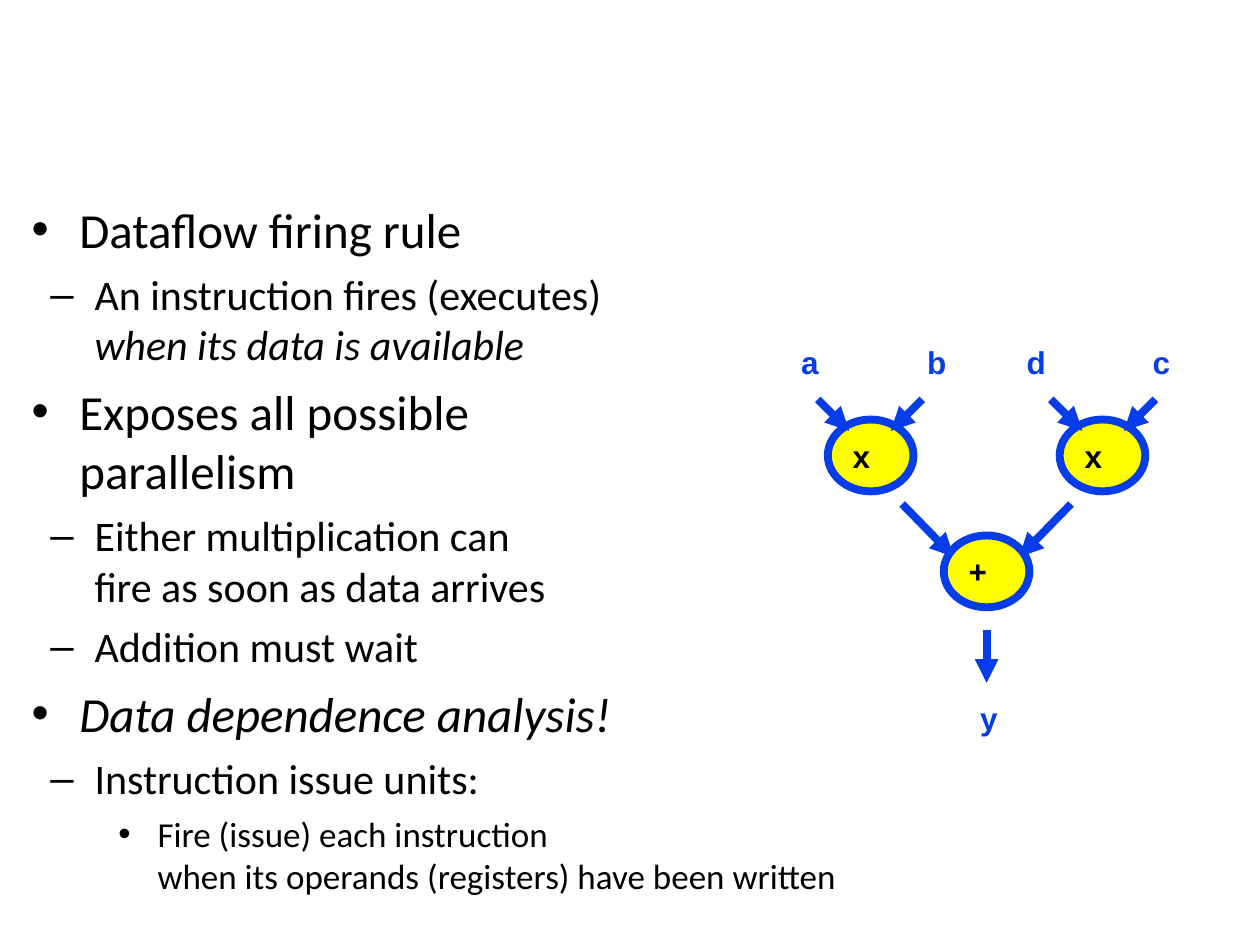
from lxml.etree import SubElement
from pptx import Presentation
from pptx.dml.color import RGBColor
from pptx.enum.shapes import MSO_CONNECTOR as CONN, MSO_SHAPE as SHAPE
from pptx.enum.text import MSO_ANCHOR as ANCHOR, PP_ALIGN as ALIGN
from pptx.oxml.ns import qn
from pptx.util import Inches, Pt

# size, space before, left margin, hanging indent, bullet
LEVELS = [
    (28, 7, 0.38, -0.38, "•"),
    (24, 6, 0.5, -0.35, "–"),
    (20, 5, 1, -0.31, "•"),
]

# level, then lines of (text, italic)
OUTLINE = [
    (0, [("Dataflow firing rule", False)]),
    (1, [("An instruction fires (executes)", False),
         ("when its data is available", True)]),
    (0, [("Exposes all possible", False), ("parallelism", False)]),
    (1, [("Either multiplication can", False),
         ("fire as soon as data arrives", False)]),
    (1, [("Addition must wait", False)]),
    (0, [("Data dependence analysis!", True)]),
    (1, [("Instruction issue units:", False)]),
    (2, [("Fire (issue) each instruction", False),
         ("when its operands (registers) have been written", False)]),
]

AXIS = 7.83  # the graph is symmetric about this x
NODE_W, NODE_H = 0.68, 0.57


def rgb(value):
    return RGBColor.from_string(value)


def box(*lengths):
    return [Inches(v) for v in lengths]


def mirror(x):
    return 2 * AXIS - x


class Deck:
    blue, yellow, black = "063DE8", "FFFF00", "000000"
    body_font, label_font = "Calibri", "Arial"
    line_width = Pt(4.5)

    def __init__(self):
        self.prs = Presentation()
        self.prs.slide_width, self.prs.slide_height = box(10, 7.5)
        self.s = self.prs.slides.add_slide(self.prs.slide_layouts[6])

    def run(self, p, text, size, font, color, bold=False, italic=False):
        r = p.add_run()
        r.text = text
        f = r.font
        f.size, f.name, f.bold, f.italic = Pt(size), font, bold, italic
        f.color.rgb = rgb(color)

    def bullet(self, p, char, margin, indent):
        pPr = p._p.get_or_add_pPr()
        pPr.set("marL", str(Inches(margin)))
        pPr.set("indent", str(Inches(indent)))
        color = SubElement(pPr, qn("a:buClr"))
        SubElement(color, qn("a:srgbClr"), val=self.black)
        SubElement(pPr, qn("a:buFont"), typeface="Arial")
        SubElement(pPr, qn("a:buChar"), char=char)

    def outline(self, items, *at):
        tf = self.s.shapes.add_textbox(*box(*at)).text_frame
        tf.word_wrap = True
        tf.margin_left = tf.margin_right = tf.margin_top = tf.margin_bottom = 0
        for i, (level, lines) in enumerate(items):
            size, before, margin, indent, char = LEVELS[level]
            p = tf.add_paragraph() if i else tf.paragraphs[0]
            p.level = level
            p.space_before = Pt(before if i else 0)
            self.bullet(p, char, margin, indent)
            for j, (text, italic) in enumerate(lines):
                if j:
                    p.add_line_break()
                self.run(p, text, size, self.body_font, self.black, italic=italic)

    def label(self, text, x, y):
        tf = self.s.shapes.add_textbox(*box(x, y, 0.34, 0.4)).text_frame
        tf.word_wrap = False
        self.run(tf.paragraphs[0], text, 18, self.label_font, self.blue, bold=True)

    def node(self, text, center, top):
        at = box(center - NODE_W / 2, top, NODE_W, NODE_H)
        sp = self.s.shapes.add_shape(SHAPE.OVAL, *at)
        sp.shadow.inherit = False
        sp.fill.solid()
        sp.fill.fore_color.rgb = rgb(self.yellow)
        sp.line.color.rgb = rgb(self.blue)
        sp.line.width = self.line_width
        tf = sp.text_frame
        tf.vertical_anchor = ANCHOR.MIDDLE
        p = tf.paragraphs[0]
        p.alignment = ALIGN.LEFT
        self.run(p, text, 18, self.label_font, self.black, bold=True)

    def arrow(self, x1, y1, x2, y2):
        c = self.s.shapes.add_connector(CONN.STRAIGHT, *box(x1, y1, x2, y2))
        c.line.color.rgb = rgb(self.blue)
        c.line.width = self.line_width
        SubElement(c.line._get_or_add_ln(), qn("a:tailEnd"), type="triangle")
        SubElement(c._element.spPr, qn("a:effectLst"))


def main():
    deck = Deck()
    deck.outline(OUTLINE, 0.25, 1.58, 9.75, 5.56)

    for text, x in zip("abdc", (6.26, 7.26, 8.05, 9.05)):
        deck.label(text, x, 2.67)
    deck.label("y", 7.68, 5.5)

    for side in (lambda x: x, mirror):
        deck.node("x", side(6.91), 3.33)
        for x1, y1, x2, y2 in ((6.49, 3.17, 6.74, 3.42),
                               (7.32, 3.17, 7.07, 3.42),
                               (7.16, 4, 7.57, 4.42)):
            deck.arrow(side(x1), y1, side(x2), y2)
    deck.node("+", AXIS, 4.25)
    deck.arrow(AXIS, 5, AXIS, 5.42)

    deck.prs.save("out.pptx")


if __name__ == "__main__":
    main()
